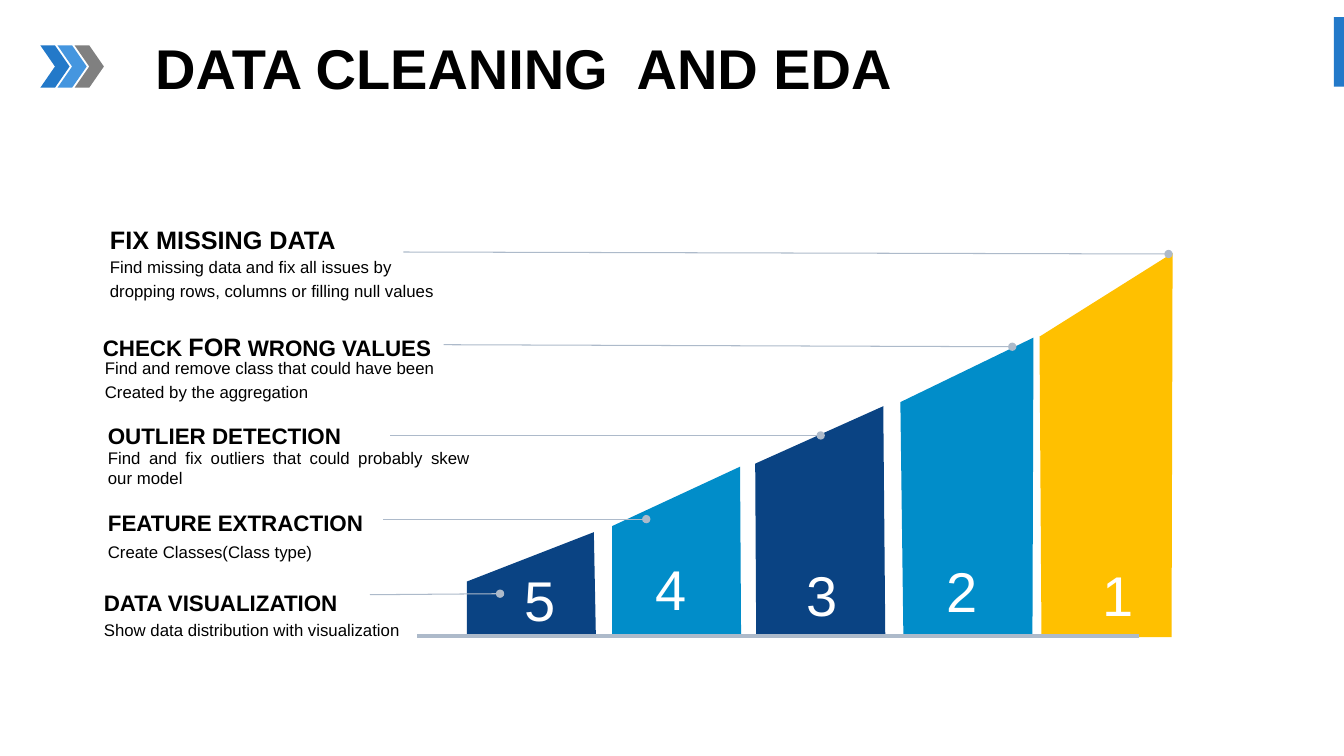
from lxml.etree import SubElement
from pptx import Presentation
from pptx.dml.color import RGBColor
from pptx.enum.shapes import MSO_CONNECTOR as CONN, MSO_SHAPE as SHAPE
from pptx.enum.text import PP_ALIGN as ALIGN
from pptx.oxml.ns import qn
from pptx.util import Pt

PX = 9144
WIDTH, HEIGHT = 1333, 750

BLACK = RGBColor(0x00, 0x00, 0x00)
WHITE = RGBColor(0xFF, 0xFF, 0xFF)
ACCENT = RGBColor(0x23, 0x79, 0xC9)
LIGHT = RGBColor(0x45, 0x96, 0xDF)
GRAY = RGBColor(0x80, 0x80, 0x80)
NAVY = RGBColor(0x0A, 0x43, 0x83)
BLUE = RGBColor(0x01, 0x8D, 0xC9)
GOLD = RGBColor(0xFF, 0xC0, 0x00)
LINE = RGBColor(0xAD, 0xBA, 0xCA)

TITLE = "DATA CLEANING  AND EDA"
CHEVRONS = [ACCENT, LIGHT, GRAY]

# digit, its box corner, colour, bar outline
BARS = [
    ("5", (510, 556), NAVY, [(463, 577), (589, 528), (591, 631), (463, 631)]),
    ("4", (640, 545), BLUE, [(607, 522), (734, 463), (735, 631), (607, 631)]),
    ("3", (790, 551), NAVY, [(749, 460), (876, 403), (878, 631), (750, 631)]),
    ("2", (929, 547), BLUE, [(893, 399), (1025, 335), (1024, 631), (896, 631)]),
    ("1", (1084, 551), GOLD, [(1031, 334), (1163, 251), (1162, 632), (1033, 632)]),
]

STEPS = [
    {"head": [("FIX MISSING DATA", 18)], "head_at": (109, 223, 291, 30),
     "body": ["Find missing data and fix all issues by",
              "dropping rows, columns or filling null values"],
     "body_at": (109, 255, 359, 44), "line": (1159, 252, 400, 250)},
    {"head": [("CHECK ", 16), ("FOR", 18), (" WRONG VALUES", 16)],
     "head_at": (102, 329, 337, 30),
     "body": ["Find and remove class that could have been",
              "Created by the aggregation"],
     "body_at": (104, 355, 359, 44), "line": (1004, 344, 440, 342)},
    {"head": [("OUTLIER DETECTION", 16)], "head_at": (107, 419, 292, 27),
     "body": ["Find and fix outliers that could probably skew our model"],
     "body_at": (107, 444, 359, 40), "line": (814, 432, 387, 432)},
    {"head": [("FEATURE EXTRACTION", 16)], "head_at": (107, 505, 291, 27),
     "body": ["Create Classes(Class type)"],
     "body_at": (107, 537, 359, 20), "line": (641, 515, 380, 515)},
    {"head": [("DATA VISUALIZATION", 16)], "head_at": (103, 584, 317, 27),
     "body": ["Show data distribution with visualization"],
     "body_at": (103, 615, 359, 20), "line": (496, 589, 367, 590)},
]


def px(*lengths):
    return [n * PX for n in lengths]


def paint(sp, color):
    sp.shadow.inherit = False
    sp.fill.solid()
    sp.fill.fore_color.rgb = color
    sp.line.fill.background()


def add_preset(shapes, kind, box, color):
    paint(shapes.add_shape(kind, *px(*box)), color)


def add_text(shapes, box, paragraphs, color=BLACK, bold=False, inset=True,
             before=0, align=ALIGN.LEFT):
    tf = shapes.add_textbox(*px(*box)).text_frame
    tf.word_wrap = True
    if not inset:
        tf.margin_left = tf.margin_right = tf.margin_top = tf.margin_bottom = 0
    for i, runs in enumerate(paragraphs):
        p = tf.add_paragraph() if i else tf.paragraphs[0]
        p.alignment = align
        if before:
            spacing = SubElement(p._p.get_or_add_pPr(), qn("a:spcBef"))
            SubElement(spacing, qn("a:spcPct"), val=str(before * 1000))
        for text, size in runs:
            r = p.add_run()
            r.text = text
            r.font.name = "Arial"
            r.font.size = Pt(size)
            r.font.bold = bold
            r.font.color.rgb = color


def add_line(shapes, ends, width, dot=False):
    c = shapes.add_connector(CONN.STRAIGHT, *px(*ends))
    c.line.color.rgb = LINE
    c.line.width = Pt(width)
    if dot:
        SubElement(c.line._get_or_add_ln(), qn("a:headEnd"), type="oval")
    SubElement(c._element.spPr, qn("a:effectLst"))


def main():
    prs = Presentation()
    prs.slide_width, prs.slide_height = px(WIDTH, HEIGHT)
    s = prs.slides.add_slide(prs.slide_layouts[6])
    shapes = s.shapes

    add_preset(shapes, SHAPE.RECTANGLE, (1323, 17, 13, 69), ACCENT)
    for i, color in enumerate(CHEVRONS):
        add_preset(shapes, SHAPE.CHEVRON, (40 + 17 * i, 45, 29, 42), color)
    add_text(shapes, (144, 28, 819, 145), [[(TITLE, 40)]], bold=True)

    for digit, corner, color, outline in BARS:
        builder = shapes.build_freeform(*outline[0], scale=PX)
        builder.add_line_segments(outline[1:], close=True)
        paint(builder.convert_to_shape(), color)
        add_text(shapes, (*corner, 49, 77), [[(digit, 40)]], WHITE, before=50)
    add_line(shapes, (414, 631, 1130, 631), 2.25)

    for step in STEPS:
        add_line(shapes, step["line"], 0.75, dot=True)
        add_text(shapes, step["head_at"], [step["head"]], bold=True,
                 inset=False, before=20)
        add_text(shapes, step["body_at"], [[(text, 12)] for text in step["body"]],
                 inset=False, before=20, align=ALIGN.JUSTIFY)

    prs.save("out.pptx")


if __name__ == "__main__":
    main()
